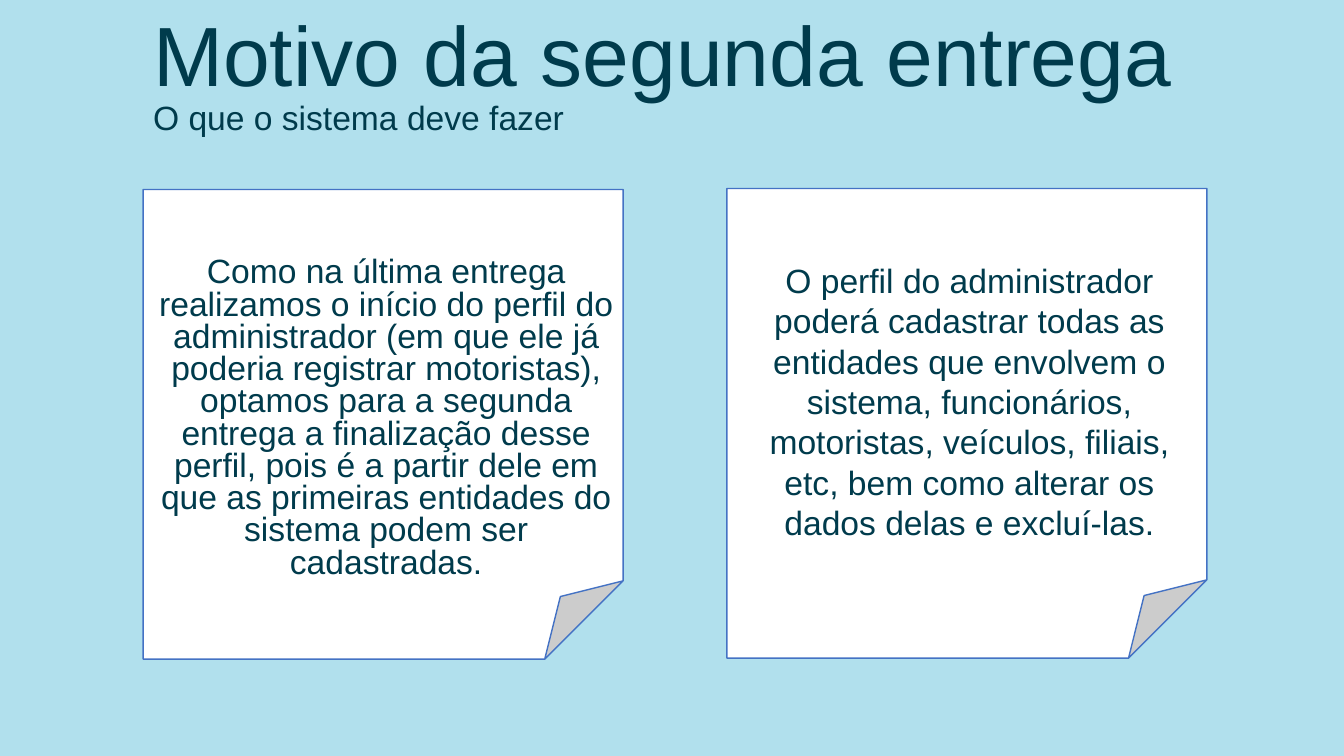
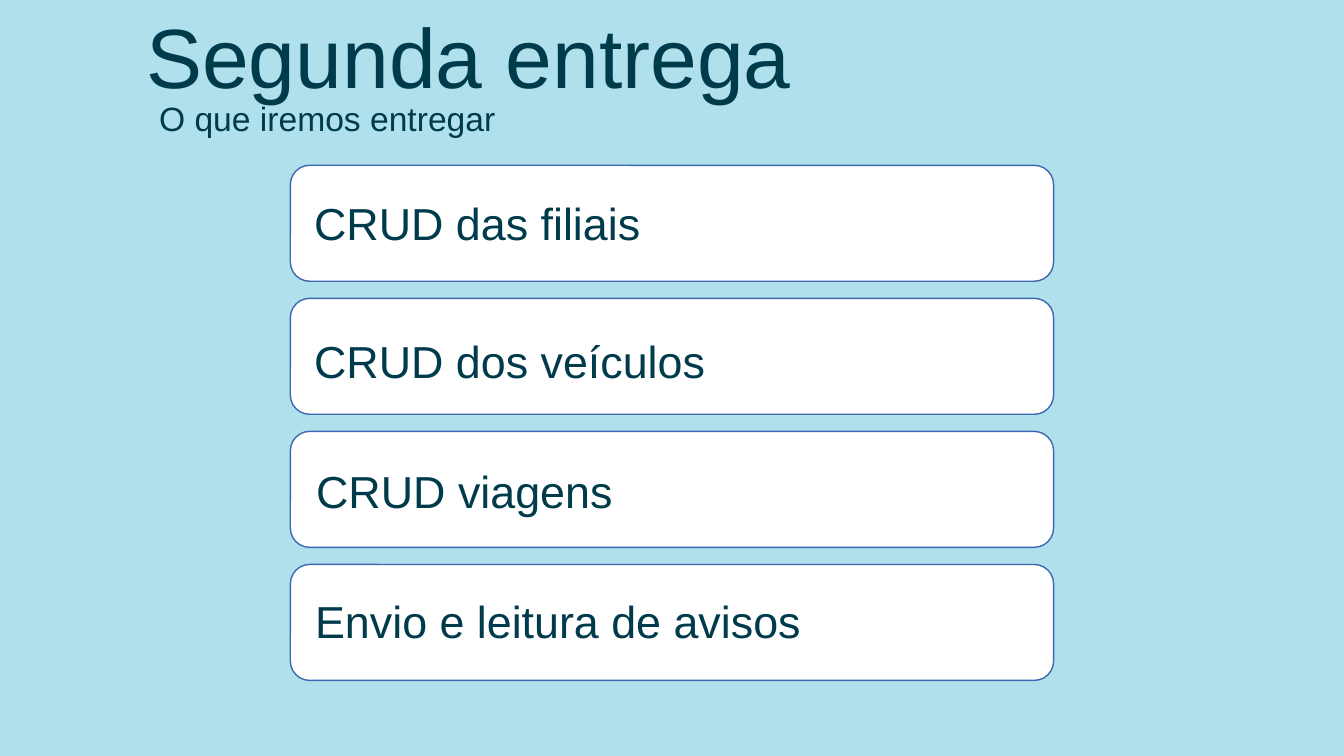
"""Build two slides about the second delivery of a fleet system."""
from dataclasses import dataclass

from pptx import Presentation
from pptx import util as u
from pptx.dml.color import RGBColor
from pptx.enum import shapes, text


@dataclass(frozen=True)
class Theme:
    sky: RGBColor = RGBColor.from_string("B1E0ED")
    ink: RGBColor = RGBColor.from_string("003B4C")
    paper: RGBColor = RGBColor.from_string("FFFFFF")
    note_edge: RGBColor = RGBColor.from_string("4472C4")
    item_edge: RGBColor = RGBColor.from_string("3E67B2")
    font: str = "Arial"
    title: int = 60
    item: int = 32
    body: int = 24


theme = Theme()


def write(shape, words, *, size, spacing=0.9, align=text.PP_ALIGN.LEFT,
          anchor=text.MSO_ANCHOR.TOP, left=0.1, top=0.05, right=0.1, bottom=0.05):
    frame = shape.text_frame
    frame.text = words
    frame.word_wrap = True
    frame.auto_size = text.MSO_AUTO_SIZE.NONE
    frame.vertical_anchor = anchor
    frame.margin_left, frame.margin_top = u.Inches(left), u.Inches(top)
    frame.margin_right, frame.margin_bottom = u.Inches(right), u.Inches(bottom)
    paragraph = frame.paragraphs[0]
    paragraph.alignment = align
    paragraph.line_spacing = spacing
    paragraph.space_before = u.Pt(0)
    font = paragraph.runs[0].font
    font.name, font.size = theme.font, u.Pt(size)
    font.color.rgb = theme.ink


def add_card(slide, kind, edge, left, top, width, height):
    card = slide.shapes.add_shape(
        kind, u.Inches(left), u.Inches(top), u.Inches(width), u.Inches(height))
    card.shadow.inherit = False
    card.fill.solid()
    card.fill.fore_color.rgb = theme.paper
    card.line.color.rgb = edge
    card.line.width = u.Pt(1)
    return card


prs = Presentation()
prs.slide_width, prs.slide_height = u.Inches(13.33), u.Inches(7.5)
background = prs.slide_master.background.fill
background.solid()
background.fore_color.rgb = theme.sky

headings = [
    ("Motivo da segunda entrega", 1.42, 1.09, "O que o sistema deve fazer", 1.42, 0.96),
    ("Segunda entrega", 1.35, 1.11, "O que iremos entregar", 1.48, 0.97),
]
slides = []
for heading, heading_left, heading_bottom, subheading, sub_left, sub_top in headings:
    slide = prs.slides.add_slide(prs.slide_layouts[5])
    title = slide.shapes.title
    title.left, title.top = u.Inches(heading_left), u.Inches(0)
    title.width, title.height = u.Inches(11.5), u.Inches(heading_bottom)
    write(title, heading, size=theme.title, anchor=text.MSO_ANCHOR.BOTTOM)
    subtitle = slide.shapes.add_textbox(
        u.Inches(sub_left), u.Inches(sub_top), u.Inches(11.5), u.Inches(0.5))
    write(subtitle, subheading, size=theme.body)
    slides.append(slide)
reason, delivery = slides

notes = [
    (1.42, 1.88, 0.8, 0.15, 0.68, 0.09,
     "Como na última entrega realizamos o início do perfil do administrador "
     "(em que ele já poderia registrar motoristas), optamos para a segunda "
     "entrega a finalização desse perfil, pois é a partir dele em que as "
     "primeiras entidades do sistema podem ser cadastradas."),
    (7.21, 1.87, 1.0, 0.2, 0.71, 0.15,
     "O perfil do administrador poderá cadastrar todas as entidades que "
     "envolvem o sistema, funcionários, motoristas, veículos, filiais, etc, "
     "bem como alterar os dados delas e excluí-las."),
]
for left, top, spacing, inset_left, inset_top, inset_right, words in notes:
    note = add_card(reason, shapes.MSO_SHAPE.FOLDED_CORNER, theme.note_edge,
                    left, top, 4.76, 4.66)
    write(note, words, size=theme.body, spacing=spacing,
          align=text.PP_ALIGN.CENTER, left=inset_left, top=inset_top,
          right=inset_right, bottom=0)

item_height, item_gap = 1.15, 0.17
items = [
    ("CRUD das filiais", 0.18, 0.31),
    ("CRUD dos veículos", 0.18, 0.36),
    ("CRUD viagens", 0.2, 0.32),
    ("Envio e leitura de avisos", 0.19, 0.29),
]
for row, (words, inset_left, inset_top) in enumerate(items):
    item = add_card(delivery, shapes.MSO_SHAPE.ROUNDED_RECTANGLE, theme.item_edge,
                    2.88, 1.64 + row * (item_height + item_gap), 7.57, item_height)
    write(item, words, size=theme.item, left=inset_left, top=inset_top, bottom=0)

prs.save("out.pptx")
